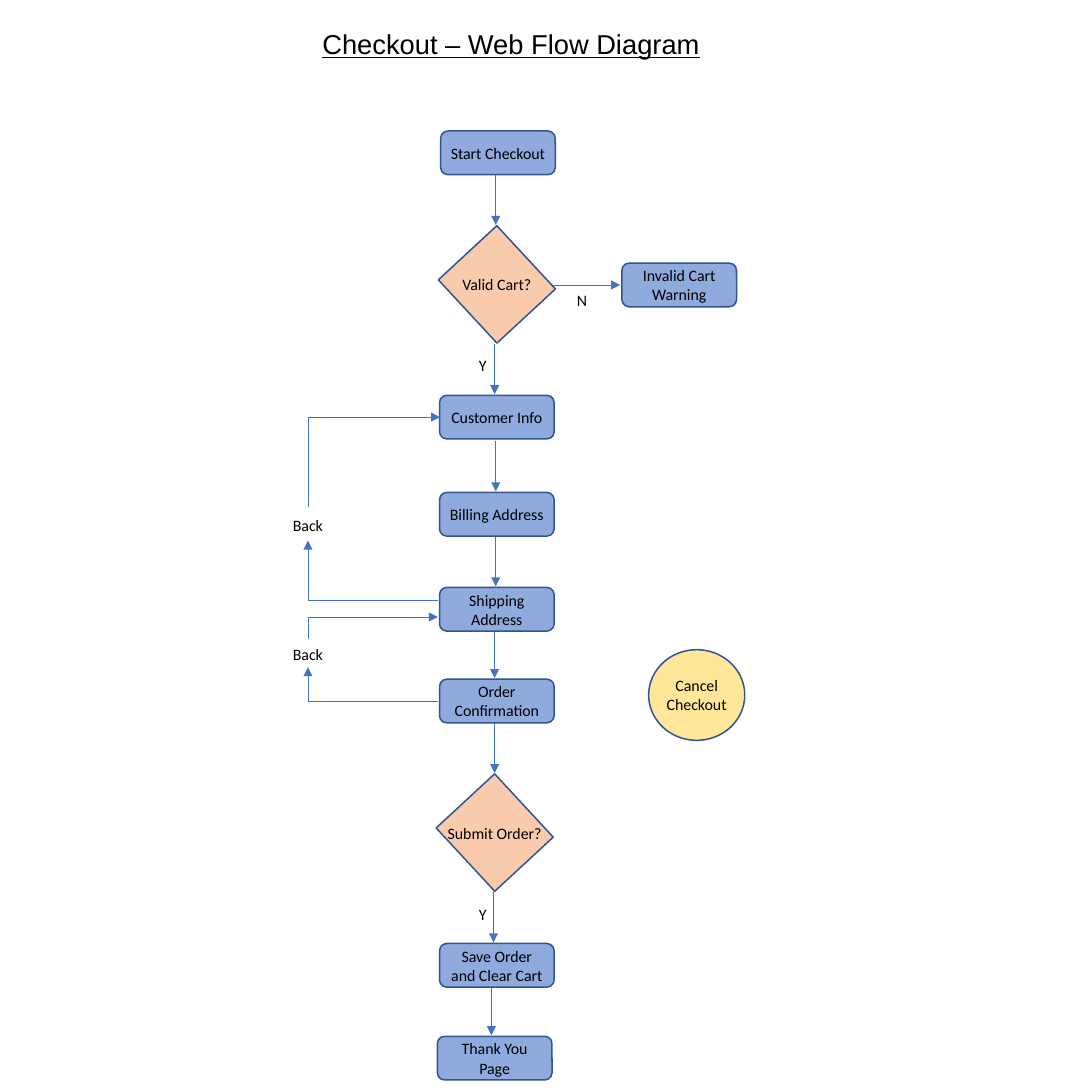
from lxml import etree
from pptx import Presentation, util as u
from pptx.dml.color import RGBColor
from pptx.enum import shapes, text
from pptx.oxml.ns import qn

# Content: main flow as (text, kind, centre x, top, lines, x of arrow in)
FLOW = [
    ("Start Checkout", "step", 4.56, 1.2, 1, None),
    ("Valid Cart?", "test", 4.55, 2.07, 1, 4.54),
    ("Customer Info", "step", 4.55, 3.62, 1, 4.53),
    ("Billing Address", "step", 4.55, 4.51, 1, 4.54),
    ("Shipping Address", "step", 4.55, 5.38, 2, 4.54),
    ("Order Confirmation", "step", 4.55, 6.22, 2, 4.53),
    ("Submit Order?", "test", 4.53, 7.09, 1, 4.53),
    ("Save Order and Clear Cart", "step", 4.55, 8.64, 2, 4.52),
    ("Thank You Page", "step", 4.53, 9.49, 2, 4.5),
]
SIDE = [
    ("Invalid Cart Warning", "step", 6.22, 2.41, 2),
    ("Cancel Checkout", "stop", 6.38, 5.95, 2),
]
# Back loops: (y from, arrow tip of riser, riser start, y to, x to, label y)
LOOPS = [(5.5, 4.95, 4.64, 3.82, 4.03, 4.81),
         (6.42, 6.11, 5.85, 5.65, 4.01, 5.99)]
MARKS = [("Y", 4.42, 3.34), ("N", 5.33, 2.75), ("Y", 4.42, 8.37)]

# Kinds: shape, width, height, fill, turn, text inset
KINDS = {
    "step": (shapes.MSO_SHAPE.ROUNDED_RECTANGLE, 1.05, 0.4, "8FAADC", 0, 0.07),
    "test": (shapes.MSO_SHAPE.RECTANGLE, 0.79, 0.73, "F8CBAD", 47.2, 0),
    "stop": (shapes.MSO_SHAPE.OVAL, 0.88, 0.83, "FFE699", 0, 0),
}
EDGE, WIRE, INK = "325491", "4472C4", "000000"
BODY = {"name": "Calibri", "size": u.Pt(10.5)}
HEAD = {"name": "Arial", "size": u.Pt(18), "underline": True}
SPAN, TURN, BACK, OUT = 0.46, 1.07, 2.82, 4.01

deck = Presentation()
deck.slide_width = deck.slide_height = u.Inches(10)
page = deck.slides.add_slide(deck.slide_layouts[6]).shapes


def tint(part, hue):
    part.rgb = RGBColor.from_string(hue)


def write(shape, words, form=BODY, wrap=True, pad=0):
    frame = shape.text_frame
    look = {"word_wrap": wrap, "vertical_anchor": text.MSO_ANCHOR.MIDDLE,
            "margin_left": u.Inches(pad), "margin_right": u.Inches(pad),
            "margin_top": 0, "margin_bottom": 0}
    for key, val in look.items():
        setattr(frame, key, val)
    para = frame.paragraphs[0]
    para.alignment = text.PP_ALIGN.CENTER
    run = para.add_run()
    run.text = words
    for key, val in form.items():
        setattr(run.font, key, val)
    tint(run.font.color, INK)


def label(words, mid, y, wide=1.07, high=0.28, form=BODY):
    box = page.add_textbox(*map(u.Inches, (mid - wide / 2, y - high / 2, wide, high)))
    write(box, words, form)


def node(words, kind, mid, top, lines):
    form, wide, high, fill, turn, pad = KINDS[kind]
    y = top + (TURN if turn else high) / 2
    shape = page.add_shape(form, *map(u.Inches, (mid - wide / 2, y - high / 2, wide, high)))
    shape.shadow.inherit = False
    shape.rotation = turn
    shape.fill.solid()
    tint(shape.fill.fore_color, fill)
    tint(shape.line.color, EDGE)
    shape.line.width = u.Pt(1)
    if turn:
        label(words, mid, y)  # keeps the text level on a turned square
    else:
        write(shape, words, wrap=lines > 1, pad=pad)


def wire(x1, y1, x2, y2, tip=True):
    line = page.add_connector(shapes.MSO_CONNECTOR.STRAIGHT,
                              *map(u.Inches, (x1, y1, x2, y2)))
    tint(line.line.color, WIRE)
    line.line.width = u.Pt(0.5)
    if tip:
        etree.SubElement(line.line._get_or_add_ln(), qn("a:tailEnd"), type="triangle")
    etree.SubElement(line._element.spPr, qn("a:effectLst"))


# Title
label("Checkout – Web Flow Diagram", 4.68, 0.4, 3.67, 0.4, HEAD)

# Arrows of the main flow and the branch
for _, _, _, top, _, x in FLOW:
    if x:
        wire(x, top - 0.01 - SPAN, x, top - 0.01)
wire(5.06, 2.61, 5.68, 2.61)

# Nodes
for *item, _ in FLOW:
    node(*item)
for item in SIDE:
    node(*item)

# Back loops
for low, tip, rise, high, end, y in LOOPS:
    wire(BACK, low, OUT, low, False)
    wire(BACK, low, BACK, tip)
    wire(BACK, high, BACK, rise, False)
    wire(BACK, high, end, high)
    label("Back", BACK, y, 0.64)

# Branch marks
for mark, x, y in MARKS:
    label(mark, x, y, 0.49)

deck.save("out.pptx")
